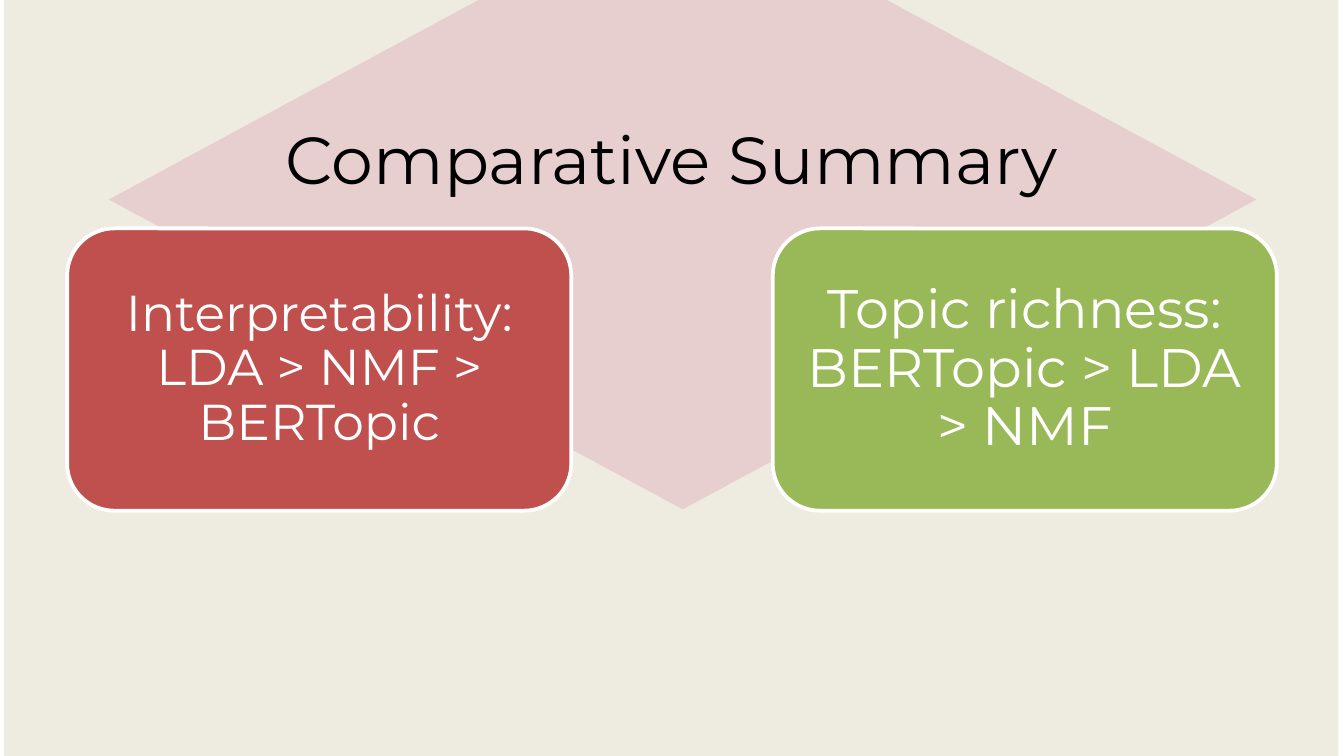
from pptx import Presentation
from pptx.dml.color import RGBColor
from pptx.enum.shapes import MSO_SHAPE as Shape
from pptx.enum.text import MSO_ANCHOR as Anchor, PP_ALIGN as Align
from pptx.util import Inches, Pt

SLIDE_WIDTH = 10
SLIDE_HEIGHT = SLIDE_WIDTH * 9 / 16
FONT = "Montserrat"
COLORS = {
    "backdrop": "EEECE1",
    "diamond": "E7CFCF",
    "interpretability": "BF504D",
    "richness": "99B958",
    "white": "FFFFFF",
    "black": "000000",
}
CARDS = [
    ("Interpretability: LDA > NMF > BERTopic", 27, "interpretability"),
    ("Topic richness: BERTopic > LDA > NMF", 29, "richness"),
]


def rgb(name):
    """Return the named palette colour."""
    return RGBColor.from_string(COLORS[name])


def add_filled(slide, kind, box, color):
    """Add a flat, unoutlined shape in the given box."""
    shape = slide.shapes.add_shape(kind, *map(Inches, box))
    shape.shadow.inherit = False
    shape.fill.solid()
    shape.fill.fore_color.rgb = rgb(color)
    shape.line.fill.background()
    return shape


def write_centered(shape, text, size, color, anchor, pad_y, spacing=1.0):
    """Write one centred paragraph into a shape."""
    frame = shape.text_frame
    frame.word_wrap = True
    frame.vertical_anchor = anchor
    frame.margin_left = frame.margin_right = Inches(0.1)
    frame.margin_top = frame.margin_bottom = Inches(pad_y)
    paragraph = frame.paragraphs[0]
    paragraph.text = text
    paragraph.alignment = Align.CENTER
    paragraph.line_spacing = spacing
    paragraph.font.name = FONT
    paragraph.font.size = Pt(size)
    paragraph.font.color.rgb = rgb(color)


def add_title(slide, box):
    """Add the slide title in the given box."""
    title = slide.shapes.add_textbox(*map(Inches, box))
    write_centered(title, "Comparative Summary", 35.6, "black", Anchor.BOTTOM, 0.05)


def add_cards(slide, box, gap):
    """Spread the comparison cards evenly across the given box."""
    left, top, width, height = box
    card_width = (width - gap * (len(CARDS) - 1)) / len(CARDS)
    for index, (text, size, color) in enumerate(CARDS):
        card_left = left + index * (card_width + gap)
        card = add_filled(
            slide, Shape.ROUNDED_RECTANGLE, (card_left, top, card_width, height), color
        )
        card.adjustments[0] = 0.167
        card.line.color.rgb = rgb("white")
        card.line.width = Pt(2)
        write_centered(card, text, size, "white", Anchor.MIDDLE, 0.1, 0.9)


def main():
    """Build and save the comparative summary slide."""
    deck = Presentation()
    deck.slide_width, deck.slide_height = Inches(SLIDE_WIDTH), Inches(SLIDE_HEIGHT)
    slide = deck.slides.add_slide(deck.slide_layouts[6])
    add_filled(slide, Shape.RECTANGLE, (0.03, 0, 9.93, SLIDE_HEIGHT), "backdrop")
    add_filled(slide, Shape.DIAMOND, (0.81, -0.82, 8.54, 4.61), "diamond")
    add_cards(slide, (0.5, 1.7, 9, 2.1), gap=1.5)
    add_title(slide, (0.69, 0.69, 8.62, 0.83))
    deck.save("out.pptx")


if __name__ == "__main__":
    main()
